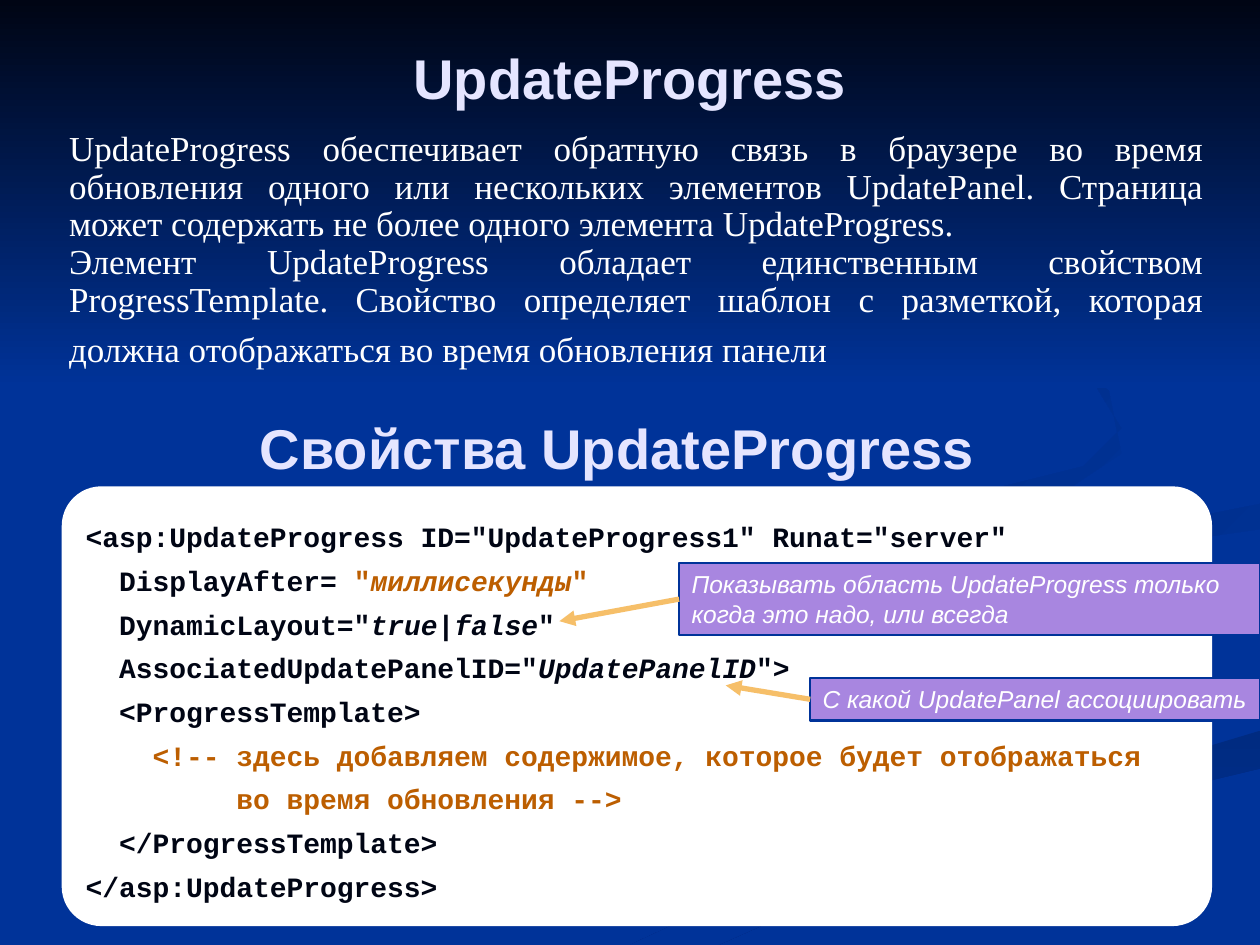
import dataclasses

import pptx
import pptx.dml.color
import pptx.enum.shapes
import pptx.enum.text
import pptx.oxml
import pptx.oxml.ns
import pptx.util

COLUMNS, ROWS = 100, 75
CELL = pptx.util.Inches(0.1)
ALIGN = pptx.enum.text.PP_ALIGN
ANCHOR = pptx.enum.text.MSO_ANCHOR
SHAPE = pptx.enum.shapes.MSO_SHAPE


@dataclasses.dataclass(frozen=True)
class Theme:
    backdrop: str = "003399"
    night: str = "000514"
    shade: str = "002B81"
    heading: str = "E5E5FF"
    white: str = "FFFFFF"
    accent: str = "BC5E00"
    callout: str = "A886E0"
    arrow: str = "F6BF69"
    sans: str = "Arial"
    serif: str = "Times New Roman"
    mono: str = "Courier New"
    heading_size: int = 32
    body_size: int = 20
    tall_size: int = 28
    code_size: int = 16
    note_size: int = 14


THEME = Theme()

UPPER_SWIRL = [(68, 43), (83, 40), (89, 36), (88, 31), (76, 23), (86, 29),
               (89, 34), (86, 37), (62, 43), (58, 46), (62, 50), (60, 46)]
MIDDLE_SWIRL = [(78, 46), (83, 50), (81, 46), (86, 44), (100, 42), (100, 40),
                (85, 43)]
LOWER_SWIRL = [(50, 75), (57, 75), (75, 67), (100, 61), (100, 58), (80, 64),
               (63, 69)]

BODY = [
    [("UpdateProgress обеспечивает обратную связь в браузере во время "
      "обновления одного или нескольких элементов UpdatePanel. Страница может "
      "содержать не более одного элемента UpdateProgress.", {})],
    [("Элемент UpdateProgress обладает единственным свойством "
      "ProgressTemplate. Свойство определяет шаблон с разметкой, которая "
      "должна отображаться во время обновления панели", {}),
     (" ", {"size": THEME.tall_size})],
]

ACCENT = {"color": THEME.accent}
ITALIC = {"italic": True}
CODE = [
    [('<asp:UpdateProgress ID="UpdateProgress1" Runat="server"', {})],
    [("  DisplayAfter= ", {}), ('"', ACCENT),
     ("миллисекунды", ACCENT | ITALIC), ('"', ACCENT)],
    [('  DynamicLayout="', {}), ("true|false", ITALIC), ('"', {})],
    [('  AssociatedUpdatePanelID="', {}), ("UpdatePanelID", ITALIC), ('">', {})],
    [("  <ProgressTemplate>", {})],
    [("    <!-- здесь добавляем содержимое, которое будет отображаться", ACCENT)],
    [("         во время обновления -->", ACCENT)],
    [("  </ProgressTemplate>", {})],
    [("</asp:UpdateProgress>", {})],
]


def rgb(color):
    return pptx.dml.color.RGBColor.from_string(color)


def cells(*lengths):
    return [round(length * CELL) for length in lengths]


def write(box, paragraphs, *, align=ALIGN.LEFT, spacing=1.0, anchor=ANCHOR.TOP,
          wrap=True, inset=0.05, **style):
    frame = box.text_frame
    frame.word_wrap = wrap
    frame.vertical_anchor = anchor
    frame.margin_left = frame.margin_right = pptx.util.Inches(0.1)
    frame.margin_top = frame.margin_bottom = pptx.util.Inches(inset)
    for index, spans in enumerate(paragraphs):
        para = frame.add_paragraph() if index else frame.paragraphs[0]
        para.alignment = align
        para.line_spacing = spacing
        for text, changes in spans:
            add_span(para, text, **(style | changes))


def add_span(para, text, *, font, size, color, bold=False, italic=False):
    span = para.add_run()
    span.text = text
    span.font.name = font
    span.font.size = pptx.util.Pt(size)
    span.font.color.rgb = rgb(color)
    span.font.bold = bold
    span.font.italic = italic


def write_heading(box, text):
    write(box, [[(text, {})]], align=ALIGN.CENTER, anchor=ANCHOR.MIDDLE,
          font=THEME.sans, size=THEME.heading_size, color=THEME.heading, bold=True)


def fill_gradient(shape, colors, angle):
    shape.fill.gradient()
    shape.fill.gradient_angle = 360 - angle
    for stop, color in zip(shape.fill.gradient_stops, colors):
        stop.color.rgb = rgb(color)


def add_swirl(page, points, colors, angle):
    corners = [cells(*point) for point in points]
    builder = page.shapes.build_freeform(*corners[0])
    builder.add_line_segments(corners[1:], close=True)
    swirl = builder.convert_to_shape()
    swirl.shadow.inherit = False
    swirl.line.fill.background()
    fill_gradient(swirl, colors, angle)


def add_panel(page, kind, area, fill, line=None):
    panel = page.shapes.add_shape(kind, *cells(*area))
    panel.shadow.inherit = False
    panel.fill.solid()
    panel.fill.fore_color.rgb = rgb(fill)
    if line:
        panel.line.color.rgb = rgb(line)
        panel.line.width = pptx.util.Pt(1.5)
    else:
        panel.line.fill.background()
    return panel


def add_callout(page, text, area, target, wrap):
    box = add_panel(page, SHAPE.RECTANGLE, area, THEME.callout, THEME.backdrop)
    write(box, [[(text, {})]], wrap=wrap, font=THEME.sans,
          size=THEME.note_size, color=THEME.white, italic=True)
    arrow = page.shapes.add_connector(
        pptx.enum.shapes.MSO_CONNECTOR.STRAIGHT, box.left, box.top, *cells(*target))
    arrow.begin_connect(box, 1)
    arrow.line.color.rgb = rgb(THEME.arrow)
    arrow.line.width = pptx.util.Pt(3)
    line = arrow.line._get_or_add_ln()
    line.append(pptx.oxml.parse_xml(
        f'<a:tailEnd {pptx.oxml.ns.nsdecls("a")} type="triangle"/>'))
    line.addnext(pptx.oxml.parse_xml(
        f'<a:effectLst {pptx.oxml.ns.nsdecls("a")}/>'))


def add_backdrop(page):
    page.background.fill.solid()
    page.background.fill.fore_color.rgb = rgb(THEME.backdrop)
    add_swirl(page, LOWER_SWIRL, (THEME.shade, THEME.backdrop), 90)
    for points in (MIDDLE_SWIRL, UPPER_SWIRL):
        add_swirl(page, points, (THEME.backdrop, THEME.shade), 225)
    sky = add_panel(page, SHAPE.RECTANGLE, (0, 0, COLUMNS, 30.8), THEME.night)
    fill_gradient(sky, (THEME.night, THEME.backdrop), 90)


def main():
    deck = pptx.Presentation()
    deck.slide_width, deck.slide_height = cells(COLUMNS, ROWS)
    page = deck.slides.add_slide(deck.slide_layouts[5])
    add_backdrop(page)

    title = page.shapes.title
    title.element.getparent().append(title.element)
    title.left, title.top, title.width, title.height = cells(5, 3, 90, 6.3)
    write_heading(title, "UpdateProgress")

    body = page.shapes.add_textbox(*cells(4.5, 9.9, 92, 20.2))
    write(body, BODY, align=ALIGN.JUSTIFY, spacing=0.9, font=THEME.serif,
          size=THEME.body_size, color=THEME.white)
    subtitle = page.shapes.add_textbox(*cells(4, 32.3, 90, 6.3))
    write_heading(subtitle, "Свойства UpdateProgress")

    listing = add_panel(page, SHAPE.ROUNDED_RECTANGLE, (4.9, 38.6, 91.3, 34.9),
                        THEME.white)
    listing.adjustments[0] = 0.09
    write(listing, CODE, spacing=1.3, anchor=ANCHOR.MIDDLE, inset=0.1,
          font=THEME.mono, size=THEME.code_size, color=THEME.night, bold=True)

    add_callout(page, "С какой UpdatePanel ассоциировать",
                (64.3, 53.8, 35.7, 3.4), (57.6, 54.4), wrap=False)
    add_callout(page, "Показывать область UpdateProgress только когда это надо, "
                "или всегда", (53.9, 44.7, 46.1, 5.7), (44.4, 49.3), wrap=True)
    deck.save("out.pptx")


if __name__ == "__main__":
    main()
